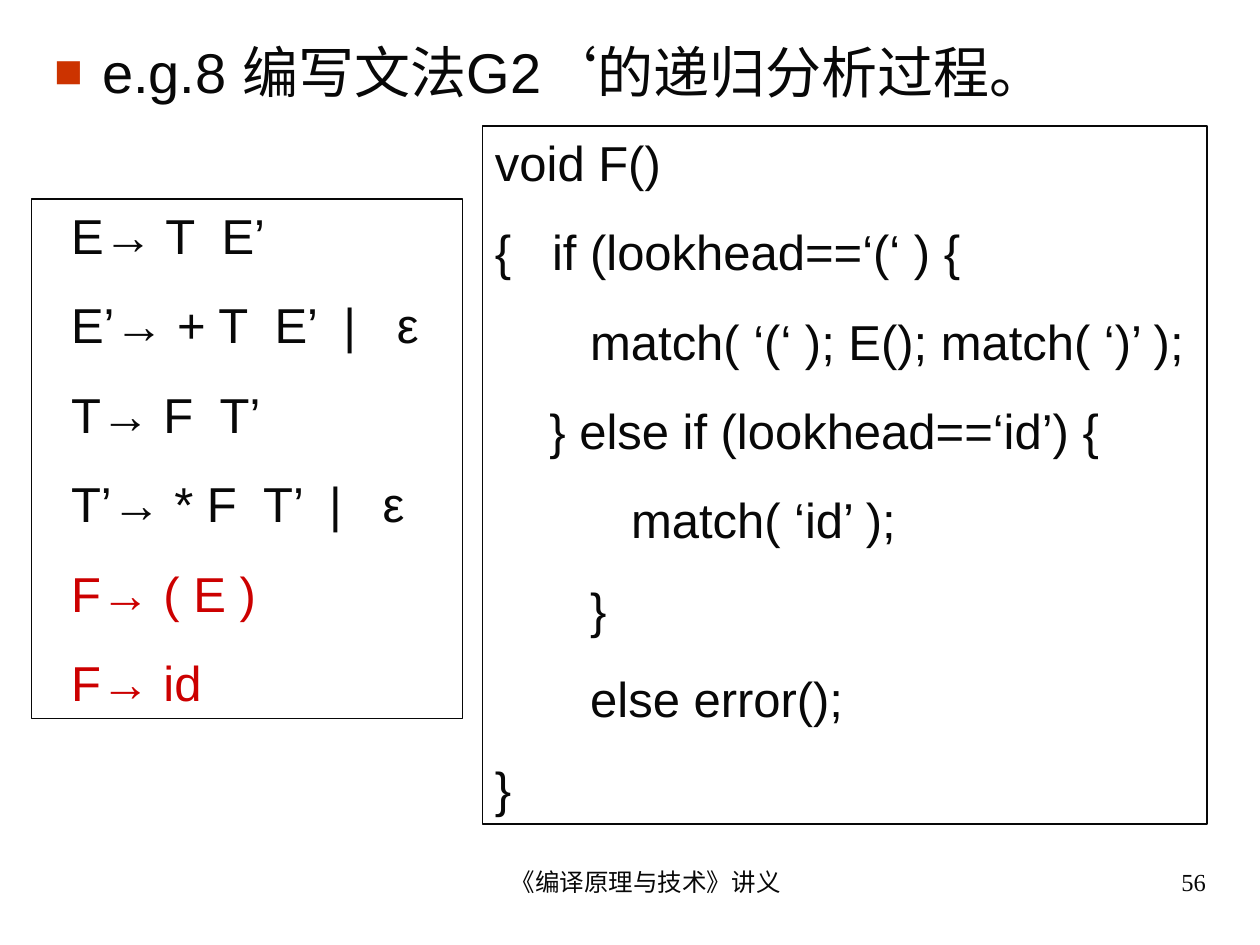
from dataclasses import dataclass

from pptx import Presentation
from pptx.dml.color import RGBColor
from pptx.enum.shapes import MSO_SHAPE
from pptx.enum.text import MSO_ANCHOR, MSO_AUTO_SIZE, PP_ALIGN
from pptx.oxml.ns import qn
from pptx.util import Inches, Pt
from lxml import etree

RECT = MSO_SHAPE.RECTANGLE
TOP = MSO_ANCHOR.TOP
FIXED, GROW = MSO_AUTO_SIZE.NONE, MSO_AUTO_SIZE.SHAPE_TO_FIT_TEXT
LEFT, MID, RIGHT = PP_ALIGN.LEFT, PP_ALIGN.CENTER, PP_ALIGN.RIGHT


@dataclass(frozen=True)
class Theme:
    ink: RGBColor = RGBColor(0x08, 0x08, 0x08)
    mark: RGBColor = RGBColor(0xCC, 0x00, 0x00)
    dot: str = "CC3300"
    sans: str = "Arial"
    serif: str = "Times New Roman"
    head: int = 32
    code: int = 28
    foot: int = 14
    gap: float = 17.5
    step: float = 0.108  # width of one code column, in inches


THEME = Theme()

# Each line is (columns of indent, text)
RULES = [(2, "E→ T  E’"), (2, "E’→ + T  E’  |   ε"), (2, "T→ F  T’"),
         (2, "T’→ * F  T’  |   ε"), (2, "F→ ( E )"), (2, "F→ id")]
CODE = [(0, "void F()"), (0, "{   if (lookhead==‘(‘ ) {"),
        (7, "match( ‘(‘ ); E(); match( ‘)’ );"),
        (4, "} else if (lookhead==‘id’) {"), (10, "match( ‘id’ );"),
        (7, "}"), (7, "else error();"), (0, "}")]


def put(item, form):
    for name, value in form.items():
        setattr(item, name, value)


def set_frame(frame, fit):
    put(frame, dict(word_wrap=True, auto_size=fit, vertical_anchor=TOP,
                    margin_left=Inches(0.1), margin_right=Inches(0.1),
                    margin_top=Inches(0.05), margin_bottom=Inches(0.05)))


def set_line(para, text, size, face, color, left=0, hang=0, **form):
    para.text = text
    put(para, form)
    run = para.runs[0].font
    put(run, dict(size=Pt(size), name=face))
    run.color.rgb = color
    props = para._p.get_or_add_pPr()
    props.set("marL", str(Inches(left)))
    props.set("indent", str(Inches(hang)))
    return props


# Heading with a square bullet, in the body placeholder
def add_head(slide, box, text):
    body = slide.placeholders[1]
    put(body, dict(zip(("left", "top", "width", "height"), map(Inches, box))))
    set_frame(body.text_frame, FIXED)
    props = set_line(body.text_frame.paragraphs[0], text, THEME.head,
                     THEME.sans, THEME.ink, 0.38, -0.38,
                     space_before=Pt(8), alignment=LEFT)
    tint = etree.SubElement(props, qn("a:buClr"))
    etree.SubElement(tint, qn("a:srgbClr")).set("val", THEME.dot)
    etree.SubElement(props, qn("a:buSzPct")).set("val", "85000")
    etree.SubElement(props, qn("a:buChar")).set("char", "■")


# Outlined panel of indented lines; those from index "hot" on are marked
def add_panel(slide, box, lines, hot=None):
    shape = slide.shapes.add_shape(RECT, *map(Inches, box))
    shape.shadow.inherit = False
    shape.fill.background()
    shape.line.color.rgb = THEME.ink
    shape.line.width = Pt(0.75)
    frame = shape.text_frame
    set_frame(frame, GROW)
    for row, (cols, text) in enumerate(lines):
        para = frame.add_paragraph() if row else frame.paragraphs[0]
        color = THEME.ink if hot is None or row < hot else THEME.mark
        set_line(para, text, THEME.code, THEME.sans, color,
                 cols * THEME.step, space_before=Pt(THEME.gap),
                 alignment=LEFT)


# Footer text
def add_foot(slide, box, text, align):
    frame = slide.shapes.add_textbox(*map(Inches, box)).text_frame
    set_frame(frame, FIXED)
    set_line(frame.paragraphs[0], text, THEME.foot, THEME.serif, THEME.ink,
             0.24, alignment=align)


def main():
    deck = Presentation()
    put(deck, dict(slide_width=Inches(10), slide_height=Inches(7.5)))
    slide = deck.slides.add_slide(deck.slide_layouts[1])
    title = slide.shapes.title.element
    title.getparent().remove(title)

    add_head(slide, (0.33, 0.25, 9.34, 0.67),
             "e.g.8 编写文法G2‘的递归分析过程。")
    add_panel(slide, (0.25, 1.58, 3.42, 4.12), RULES, hot=4)
    add_panel(slide, (3.83, 1, 5.75, 5.54), CODE)
    add_foot(slide, (3.42, 6.83, 3.17, 0.52), "《编译原理与技术》讲义", MID)
    add_foot(slide, (7.17, 6.83, 2.5, 0.52), "56", RIGHT)
    deck.save("out.pptx")


if __name__ == "__main__":
    main()
